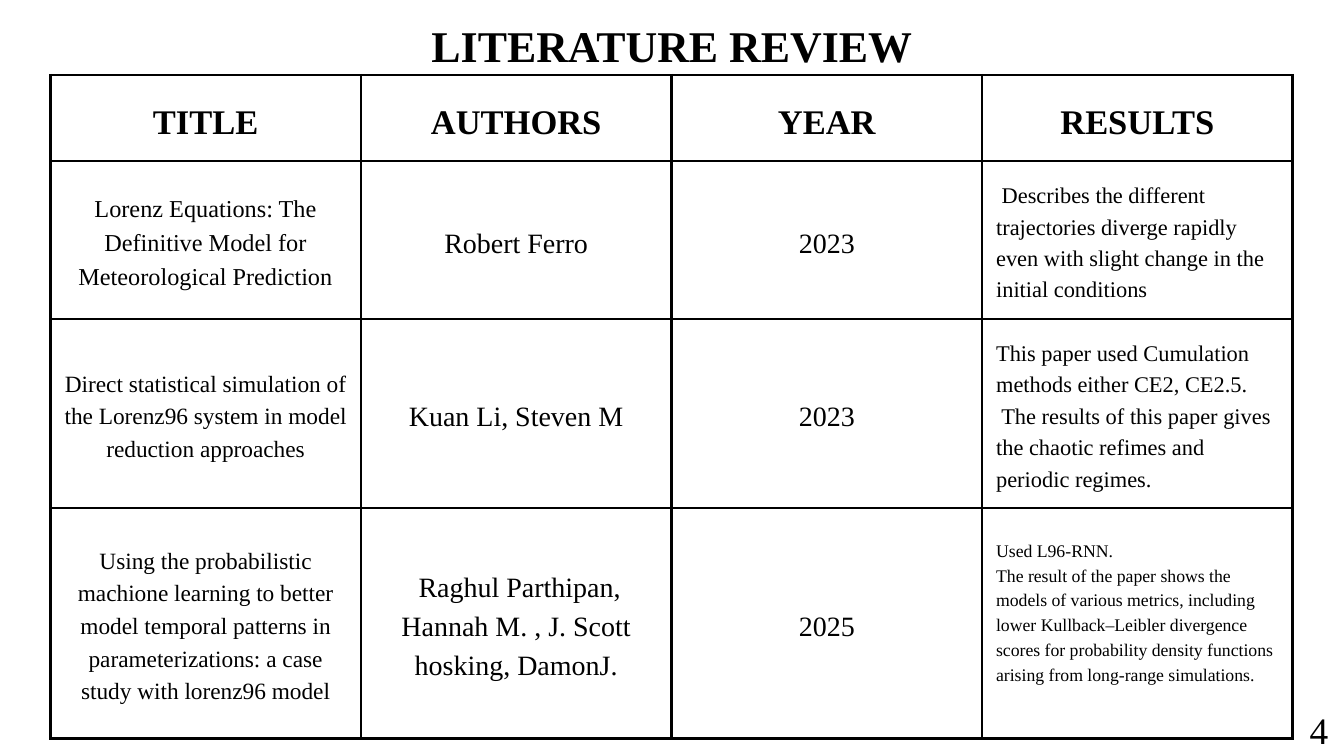
from lxml.etree import SubElement
from pptx import Presentation
from pptx.dml.color import RGBColor
from pptx.enum.text import MSO_ANCHOR as ANCHOR, MSO_AUTO_SIZE as AUTO, PP_ALIGN as ALIGN
from pptx.oxml.ns import qn
from pptx.util import Cm, Pt

BLACK = RGBColor(0, 0, 0)
FONT = "Times New Roman"


def write(tf, text, size, bold=False, align=ALIGN.CENTER):
    for i, line in enumerate(text.split("\n")):
        p = tf.paragraphs[0] if i == 0 else tf.add_paragraph()
        p.alignment = align
        p.line_spacing = Pt(round(size * 1.4, 1))
        r = p.add_run()
        r.text = line
        r.font.name = FONT
        r.font.size = Pt(size)
        r.font.bold = bold
        r.font.color.rgb = BLACK


def add_border(cell):
    tcPr = cell._tc.get_or_add_tcPr()
    for side in ("a:lnL", "a:lnR", "a:lnT", "a:lnB"):
        ln = SubElement(tcPr, qn(side), w=str(Pt(3)))
        fill = SubElement(ln, qn("a:solidFill"))
        SubElement(fill, qn("a:srgbClr"), val=str(BLACK))


prs = Presentation()
prs.slide_width, prs.slide_height = Cm(50.8), Cm(28.58)
s = prs.slides.add_slide(prs.slide_layouts[6])

header = ["TITLE", "AUTHORS", "YEAR", "RESULTS"]
papers = [
    ["Lorenz Equations: The Definitive Model for Meteorological Prediction",
     "Robert Ferro", "2023",
     " Describes the different trajectories diverge rapidly even with slight "
     "change in the initial conditions"],
    ["Direct statistical simulation of the Lorenz96 system in model reduction approaches",
     "Kuan Li, Steven M", "2023",
     "This paper used Cumulation methods either CE2, CE2.5.\n"
     " The results of this paper gives the chaotic refimes and periodic regimes."],
    ["Using the probabilistic machione learning to better model temporal patterns in "
     "parameterizations: a case study with lorenz96 model",
     " Raghul Parthipan, Hannah M. , J. Scott hosking, DamonJ.", "2025",
     "Used L96-RNN.\n"
     "The result of the paper shows the models of various metrics, including lower "
     "Kullback–Leibler divergence scores for probability density functions arising "
     "from long-range simulations."],
]
sizes = [[37] * 4, [26, 30, 30, 24], [25, 30, 30, 24], [25, 30, 30, 19]]
heights = [3.25, 5.97, 7.14, 8.71]

table = s.shapes.add_table(4, 4, Cm(1.9), Cm(2.84), Cm(46.96), Cm(25.07)).table
table.first_row = table.horz_banding = False
for col in table.columns:
    col.width = Cm(11.74)
for i, texts in enumerate([header] + papers):
    table.rows[i].height = Cm(heights[i])
    for j, text in enumerate(texts):
        cell = table.cell(i, j)
        add_border(cell)
        cell.fill.background()
        cell.vertical_anchor = ANCHOR.MIDDLE
        cell.margin_left = cell.margin_right = Cm(0.53)
        cell.margin_top = cell.margin_bottom = Cm(0.53)
        align = ALIGN.LEFT if i > 0 and j == 3 else ALIGN.CENTER
        write(cell.text_frame, text, sizes[i][j], bold=i == 0, align=align)
table.cell(3, 3).margin_bottom = Cm(1.47)

labels = [
    ("LITERATURE REVIEW", 16.28, 0.38, 18.24, 2.46, 47, True, True),
    ("4", 49.5, 26.47, 0.43, 0.84, 40, False, False),
]
for text, x, y, w, h, size, bold, wrap in labels:
    tf = s.shapes.add_textbox(Cm(x), Cm(y), Cm(w), Cm(h)).text_frame
    tf.margin_left = tf.margin_right = tf.margin_top = tf.margin_bottom = 0
    tf.word_wrap = wrap
    tf.auto_size = AUTO.SHAPE_TO_FIT_TEXT
    write(tf, text, size, bold=bold)

prs.save("out.pptx")
